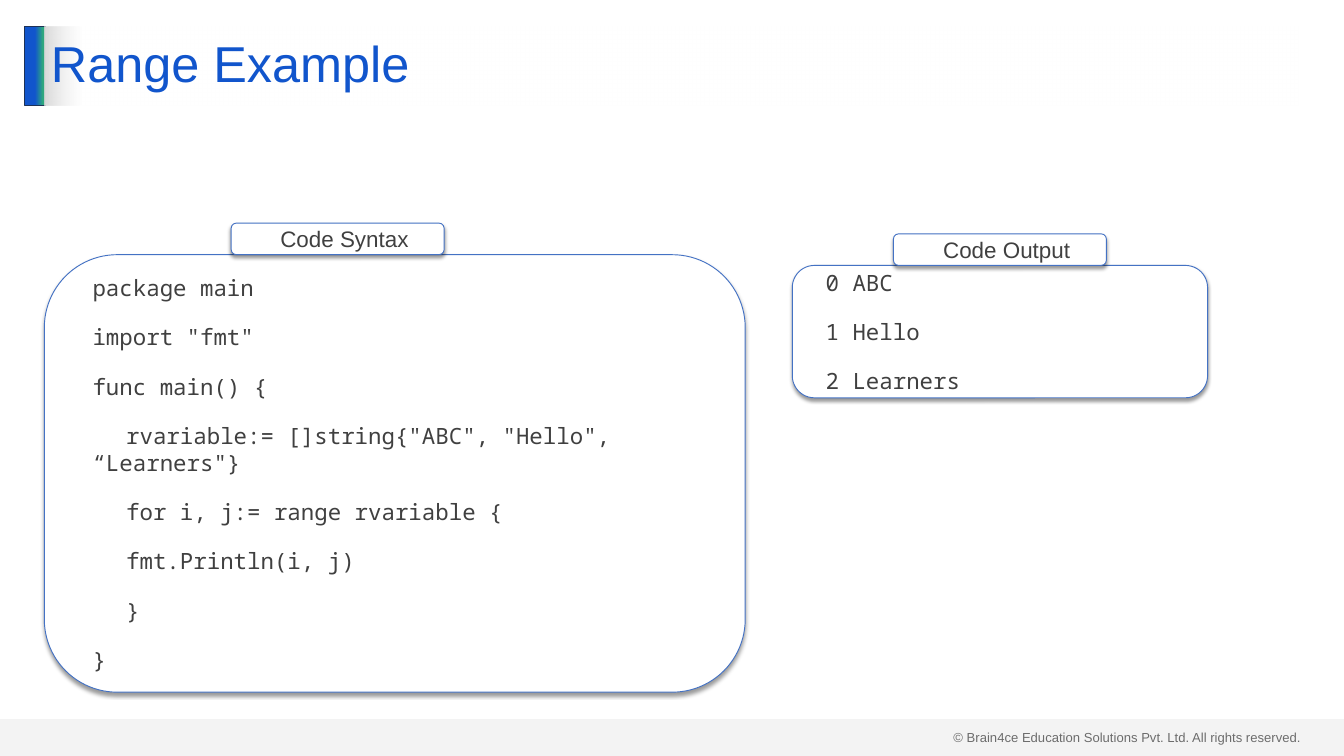
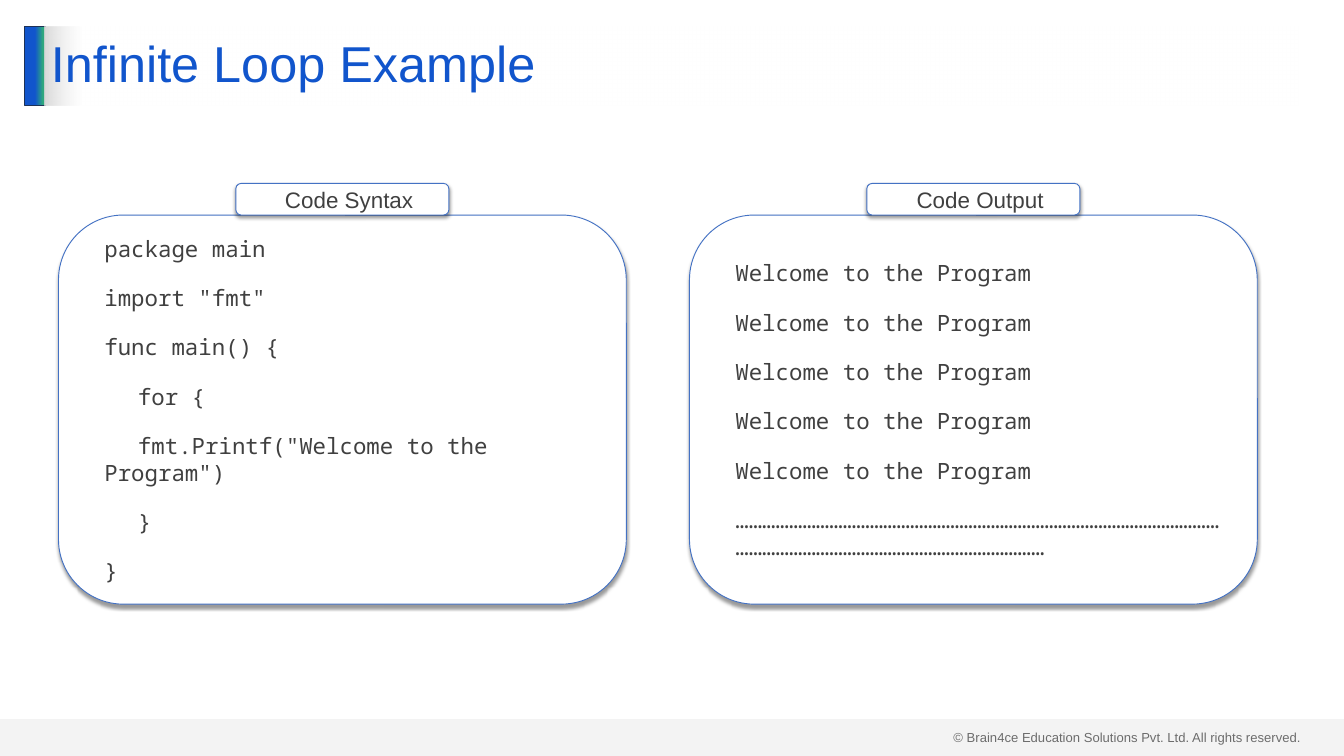
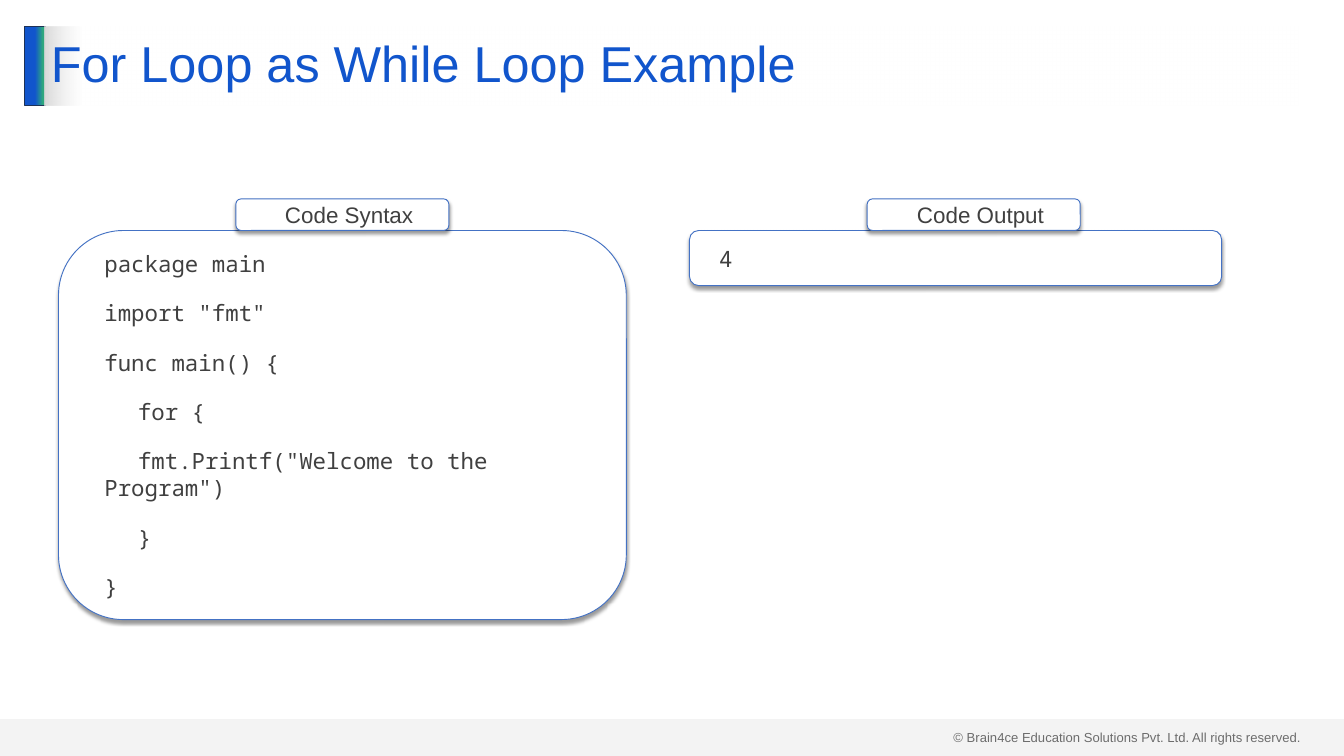
from dataclasses import dataclass

from lxml.etree import SubElement
from pptx import Presentation
from pptx.dml.color import RGBColor
from pptx.enum.shapes import MSO_SHAPE
from pptx.enum.text import MSO_ANCHOR, PP_ALIGN
from pptx.oxml.ns import qn
from pptx.shapes.autoshape import Shape
from pptx.slide import Slide
from pptx.text.text import _Paragraph as Para
from pptx.util import Inches, Pt


@dataclass(frozen=True)
class Theme:
    blue: str = "1155CC"
    green: str = "2EA87D"
    navy: str = "1E3256"
    edge: str = "4472C4"
    grey: str = "D9D9D9"
    white: str = "FFFFFF"
    black: str = "000000"
    ink: str = "404040"
    sans: str = "Arial"
    mono: str = "Noto Sans Mono"
    title: int = 54
    body: int = 24
    foot: int = 14
    gap: int = 24


@dataclass(frozen=True)
class Box:
    left: float
    top: float
    width: float
    height: float


@dataclass(frozen=True)
class Panel:
    """A framed block of code; shift moves its label off the centre."""
    label: str
    box: Box
    lines: list[str]
    shift: float = 0


@dataclass(frozen=True)
class Page:
    title: str
    panels: list[Panel]


@dataclass(frozen=True)
class Stop:
    place: int
    color: str
    alpha: int = 100


THEME = Theme()
SIZE = Box(0, 0, 20, 11.25)
BAR = Box(0.37, 0.39, 0.3, 1.18)
HEAD = Box(0.66, 0.39, 18.67, 1.18)
BAND = Box(0, 10.7, 20, 0.55)
FOOT = Box(14.09, 10.8, 5.41, 0.34)
TAB_WIDTH, TAB_HEIGHT = 3.17, 0.47
INDENT, STEP = 0.2, 0.5
CREDIT = "© Brain4ce Education Solutions Pvt. Ltd. All rights reserved."

RANGE = [
    "package main",
    'import "fmt"',
    "func main() {",
    '\trvariable:= []string{"ABC", "Hello", “Learners"}',
    "\tfor i, j:= range rvariable {",
    "\tfmt.Println(i, j)",
    "\t}",
    "}",
]
LOOP = [
    "package main",
    'import "fmt"',
    "func main() {",
    "\tfor {",
    '\tfmt.Printf("Welcome to the Program")',
    "\t}",
    "}",
]
GREETS = ["Welcome to the Program"] * 5 + ["…" * 59]

PAGES = [
    Page("Range Example", [
        Panel("Code Syntax", Box(0.66, 3.79, 10.43, 6.51), RANGE, -0.85),
        Panel("Code Output", Box(11.79, 3.95, 6.18, 1.97),
              ["0 ABC", "1 Hello", "2 Learners"]),
    ]),
    Page("Infinite Loop Example", [
        Panel("Code Syntax", Box(0.87, 3.2, 8.45, 5.79), LOOP),
        Panel("Code Output", Box(10.26, 3.2, 8.45, 5.79), GREETS),
    ]),
    Page("For Loop as While Loop Example", [
        Panel("Code Syntax", Box(0.87, 3.43, 8.45, 5.79), LOOP),
        Panel("Code Output", Box(10.26, 3.43, 7.92, 0.82), ["4"], 0.27),
    ]),
]


def place(box: Box) -> tuple[int, int, int, int]:
    return (Inches(box.left), Inches(box.top),
            Inches(box.width), Inches(box.height))


def add_alpha(color, share: int) -> None:
    SubElement(color, qn("a:alpha"), val=str(share * 1000))


def add_block(slide: Slide, kind: MSO_SHAPE, box: Box, fill: str,
              line: str = "") -> Shape:
    shape = slide.shapes.add_shape(kind, *place(box))
    shape.fill.solid()
    shape.fill.fore_color.rgb = RGBColor.from_string(fill)
    if line:
        shape.line.color.rgb = RGBColor.from_string(line)
        shape.line.width = Pt(1)
    else:
        shape.line.fill.background()
    shape.shadow.inherit = False
    return shape


def blend(shape: Shape, stops: list[Stop]) -> None:
    """Fill the shape with a gradient that runs left to right."""
    shape.fill.gradient()
    shape.fill.gradient_angle = 0
    chain = next(shape._element.spPr.iter(qn("a:gsLst")))
    for old in list(chain):
        chain.remove(old)
    for stop in stops:
        node = SubElement(chain, qn("a:gs"), pos=str(stop.place * 1000))
        color = SubElement(node, qn("a:srgbClr"), val=stop.color)
        if stop.alpha < 100:
            add_alpha(color, stop.alpha)


def add_shade(shape: Shape) -> None:
    """Give the shape a soft shadow below."""
    effects = shape._element.spPr.find(qn("a:effectLst"))
    shade = SubElement(effects, qn("a:outerShdw"), blurRad=str(Pt(4)),
                       dist=str(Pt(3)), dir="5400000", algn="t",
                       rotWithShape="0")
    add_alpha(SubElement(shade, qn("a:srgbClr"), val=THEME.black), 40)


def write(para: Para, text: str, font: str, size: int, color: str) -> None:
    run = para.add_run()
    run.text = text
    run.font.name = font
    run.font.size = Pt(size)
    run.font.color.rgb = RGBColor.from_string(color)


def add_card(slide: Slide, box: Box, lines: list[str], font: str,
             align: PP_ALIGN) -> None:
    """Draw a round frame; a leading tab in a line becomes an indent."""
    card = add_block(slide, MSO_SHAPE.ROUNDED_RECTANGLE, box,
                     THEME.white, THEME.edge)
    add_shade(card)
    frame = card.text_frame
    frame.word_wrap = True
    frame.vertical_anchor = MSO_ANCHOR.MIDDLE
    frame.margin_left = frame.margin_right = Inches(0.2)
    frame.margin_top = frame.margin_bottom = Inches(0.1)
    for rank, line in enumerate(lines):
        para = frame.add_paragraph() if rank else frame.paragraphs[0]
        para.alignment = align
        if rank:
            para.space_before = Pt(THEME.gap)
        props = para._p.get_or_add_pPr()
        props.set("marL", str(Inches(INDENT)))
        props.set("indent", str(Inches(STEP if line.startswith("\t") else 0)))
        write(para, line.lstrip("\t"), font, THEME.body, THEME.ink)


def add_panel(slide: Slide, panel: Panel) -> None:
    box = panel.box
    left = box.left + (box.width - TAB_WIDTH) / 2 + panel.shift
    label = Box(left, box.top - TAB_HEIGHT, TAB_WIDTH, TAB_HEIGHT)
    add_card(slide, box, panel.lines, THEME.mono, PP_ALIGN.LEFT)
    add_card(slide, label, [panel.label], THEME.sans, PP_ALIGN.CENTER)


def add_frame(slide: Slide, title: str) -> None:
    """Draw the footer, the side bar and the title."""
    foot = slide.shapes.add_textbox(*place(FOOT)).text_frame
    foot.word_wrap = True
    write(foot.paragraphs[0], CREDIT, THEME.sans, THEME.foot, THEME.ink)

    bar = add_block(slide, MSO_SHAPE.RECTANGLE, BAR, THEME.blue, THEME.navy)
    blend(bar, [Stop(51, THEME.blue), Stop(90, THEME.green),
                Stop(100, THEME.green)])

    band = add_block(slide, MSO_SHAPE.RECTANGLE, BAND, THEME.grey)
    add_alpha(next(band._element.spPr.iter(qn("a:srgbClr"))), 29)

    head = add_block(slide, MSO_SHAPE.RECTANGLE, HEAD, THEME.white)
    blend(head, [Stop(0, THEME.grey), Stop(3, THEME.white, 50)])
    head.text_frame.word_wrap = True
    head.text_frame.vertical_anchor = MSO_ANCHOR.MIDDLE
    para = head.text_frame.paragraphs[0]
    para.alignment = PP_ALIGN.LEFT
    para.line_spacing = 0.9
    write(para, title, THEME.sans, THEME.title, THEME.blue)


def main() -> None:
    deck = Presentation()
    deck.slide_width = Inches(SIZE.width)
    deck.slide_height = Inches(SIZE.height)
    blank = deck.slide_layouts[6]
    for page in PAGES:
        slide = deck.slides.add_slide(blank)
        add_frame(slide, page.title)
        for panel in page.panels:
            add_panel(slide, panel)
    deck.save("out.pptx")


if __name__ == "__main__":
    main()
